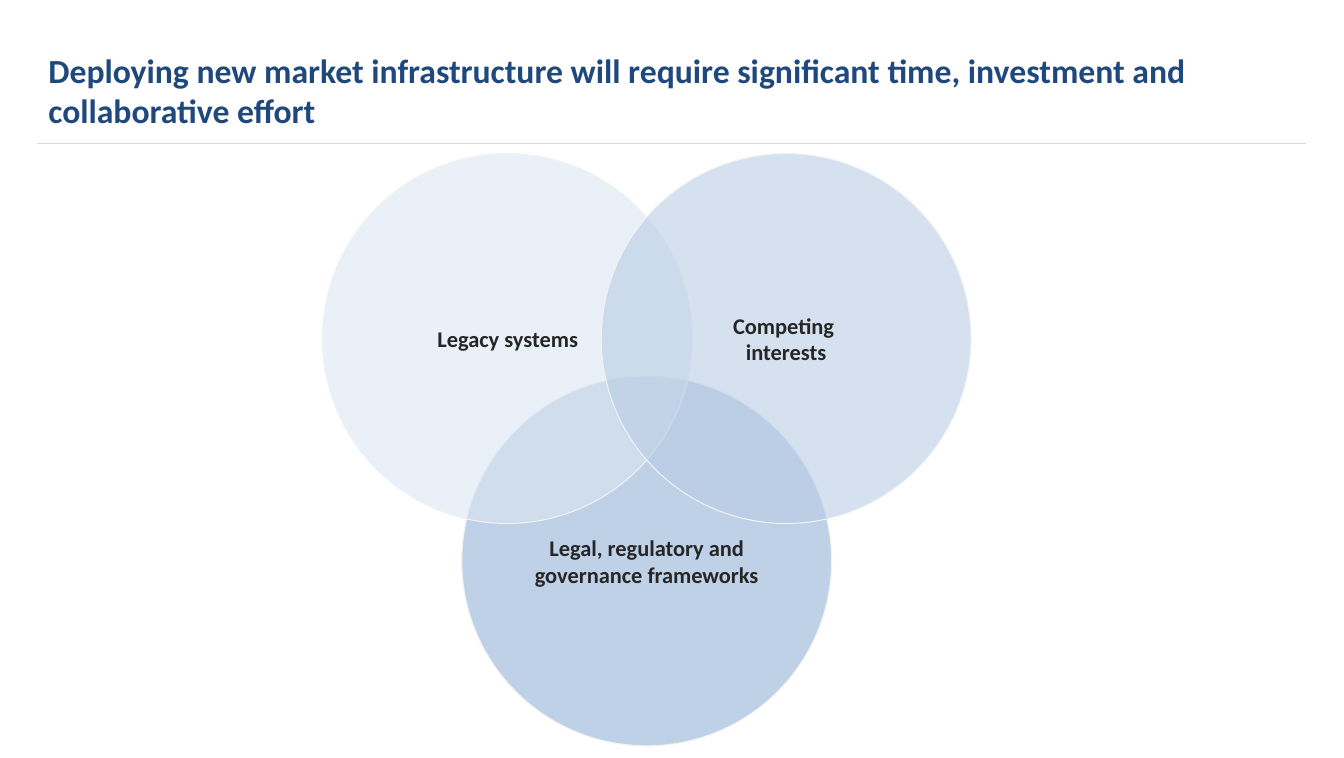
import pptx
import pptx.dml.color
import pptx.enum.shapes
import pptx.enum.text
import pptx.util
from lxml import etree
from pptx.oxml.ns import qn

PX = 9144  # EMU per px, 100 px to the inch
FONT = "Calibri"
DIAMETER = 366
LABEL_HEIGHT = 60

# centre x, centre y, fill, label width, label lines
CIRCLES = [
    (640, 555, "95B3D7", 262, ["Legal, regulatory and governance frameworks"]),
    (502, 335, "DCE6F2", 153, ["Legacy systems"]),
    (778, 335, "B9CDE5", 126, ["Competing ", "interests"]),
]


def px(*lengths):
    return [pptx.util.Emu(length * PX) for length in lengths]


def rgb(value):
    return pptx.dml.color.RGBColor.from_string(value)


def centred_box(x, y, width, height):
    return x - width // 2, y - height // 2, width, height


def add_text(slide, box, lines, size, color, anchor, align, margins=(0, 0)):
    frame = slide.shapes.add_textbox(*px(*box)).text_frame
    frame.word_wrap = True
    frame.vertical_anchor = anchor
    frame.margin_left = frame.margin_right = px(margins[0])[0]
    frame.margin_top = frame.margin_bottom = px(margins[1])[0]
    frame.text = "\n".join(lines)
    for paragraph in frame.paragraphs:
        paragraph.alignment = align
        paragraph.font.name = FONT
        paragraph.font.size = pptx.util.Pt(size)
        paragraph.font.bold = True
        paragraph.font.color.rgb = rgb(color)


def add_heading(slide, left, top, width, height):
    """Title with the thin rule below it."""
    rule_y = top + height + 8
    rule = slide.shapes.add_connector(
        pptx.enum.shapes.MSO_CONNECTOR.STRAIGHT,
        *px(left - 1, rule_y, left + 1254, rule_y))
    rule.line.color.rgb = rgb("D9D9D9")
    rule.line.width = pptx.util.Pt(0.02)
    properties = rule._element.find(qn("p:spPr"))
    etree.SubElement(properties, qn("a:effectLst"))
    add_text(slide, (left, top, width, height),
             ["Deploying new market infrastructure will require significant "
              "time, investment and collaborative effort"],
             24, "1F497D", pptx.enum.text.MSO_ANCHOR.BOTTOM,
             pptx.enum.text.PP_ALIGN.LEFT, margins=(10, 5))


def add_circle(slide, left, top, size, fill, label_width, lines):
    """Translucent circle with a label at its centre."""
    circle = slide.shapes.add_shape(
        pptx.enum.shapes.MSO_SHAPE.OVAL, *px(left, top, size, size))
    circle.shadow.inherit = False
    circle.fill.solid()
    circle.fill.fore_color.rgb = rgb(fill)
    color = circle._element.spPr.find(qn("a:solidFill"))[0]
    etree.SubElement(color, qn("a:alpha"), val="60000")
    circle.line.color.rgb = rgb("F2F2F2")
    circle.line.width = pptx.util.Pt(0.75)
    label_box = centred_box(left + size // 2, top + size // 2,
                            label_width, LABEL_HEIGHT)
    add_text(slide, label_box, lines, 16, "262626",
             pptx.enum.text.MSO_ANCHOR.MIDDLE,
             pptx.enum.text.PP_ALIGN.CENTER)


def main():
    presentation = pptx.Presentation()
    presentation.slide_width, presentation.slide_height = px(1330, 750)
    slide = presentation.slides.add_slide(presentation.slide_layouts[6])
    add_heading(slide, 38, 16, 1191, 118)
    for x, y, fill, label_width, lines in CIRCLES:
        left, top, size, _ = centred_box(x, y, DIAMETER, DIAMETER)
        add_circle(slide, left, top, size, fill, label_width, lines)
    presentation.save("out.pptx")


if __name__ == "__main__":
    main()
